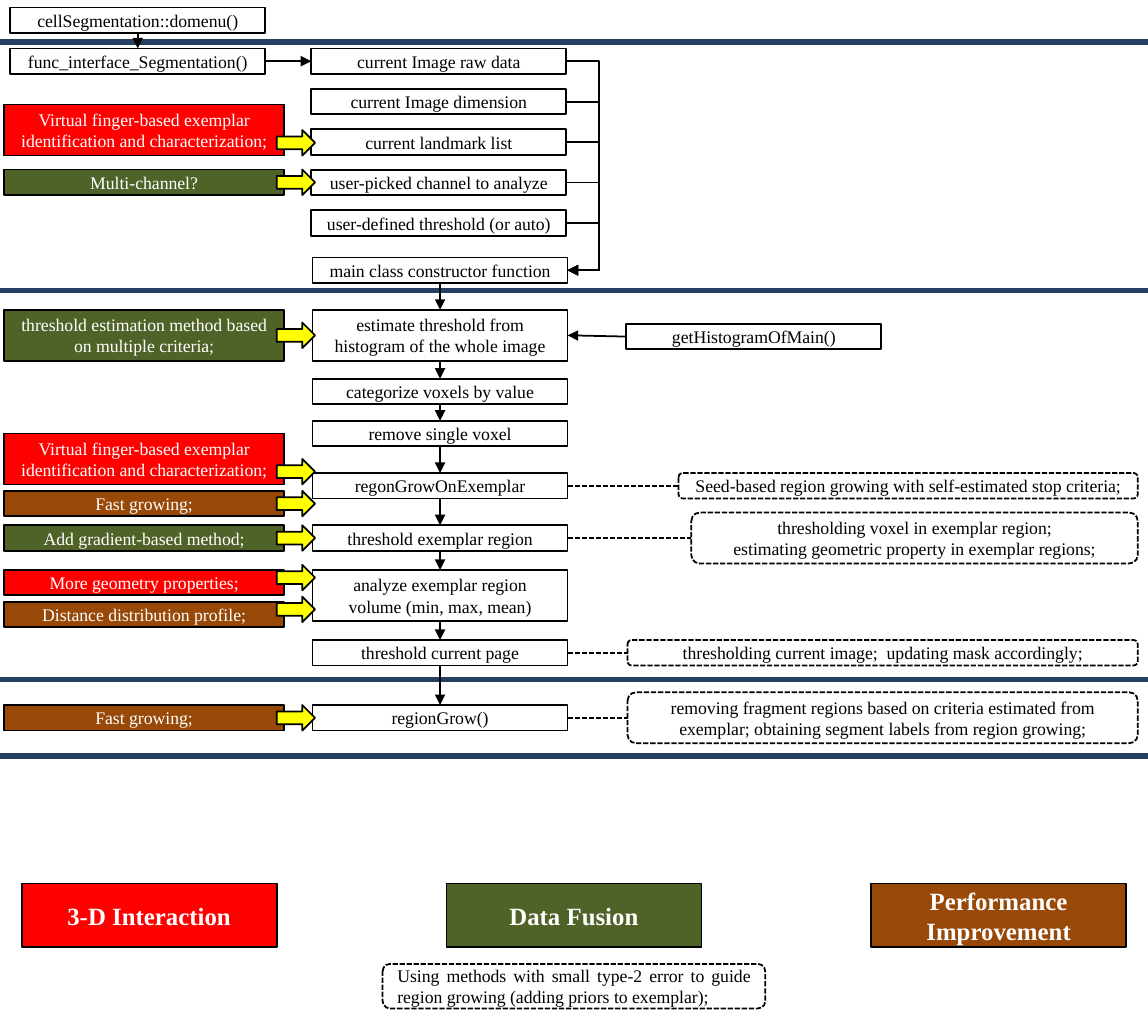
from dataclasses import dataclass
from itertools import pairwise

from lxml.etree import SubElement
from pptx import Presentation
from pptx.dml.color import RGBColor
from pptx.enum.dml import MSO_LINE
from pptx.enum.shapes import MSO_CONNECTOR, MSO_SHAPE
from pptx.enum.text import MSO_ANCHOR, PP_ALIGN
from pptx.oxml.ns import qn
from pptx.util import Inches, Pt

TOP, LEFT, BOTTOM, RIGHT = range(4)
BOX_WIDTH, ROW, DOUBLE_ROW = 2, 0.2, 0.4
STEP_LEFT, INPUT_LEFT, CALL_LEFT = 2.45, 2.44, 0.08
NOTE_RIGHT = 8.92


@dataclass(frozen=True)
class Theme:
    font: str = "Times New Roman"
    body_size: int = 10
    legend_size: int = 14
    thin: int = 1
    thick: int = 3
    ink: str = "000000"
    paper: str = "FFFFFF"
    divider: str = "254061"
    pointer: str = "FFFF00"
    interaction: str = "FF0000"
    fusion: str = "4F6228"
    performance: str = "984807"


def write_text(frame, text, *, font, size, color, bold=False, align=PP_ALIGN.CENTER):
    frame.word_wrap = True
    frame.vertical_anchor = MSO_ANCHOR.MIDDLE
    frame.margin_left = frame.margin_right = Inches(0.1)
    frame.margin_top = frame.margin_bottom = Inches(0.1)
    frame.text = text
    for paragraph in frame.paragraphs:
        paragraph.alignment = align
        paragraph.font.name = font
        paragraph.font.size = Pt(size)
        paragraph.font.bold = bold
        paragraph.font.color.rgb = RGBColor.from_string(color)


class FlowSlide:
    def __init__(self, slide, theme):
        self.slide = slide
        self.theme = theme

    def stroke(self, line, color=None, width=None, dashed=False):
        line.color.rgb = RGBColor.from_string(color or self.theme.ink)
        line.width = Pt(width or self.theme.thin)
        if dashed:
            line.dash_style = MSO_LINE.SQUARE_DOT

    def shape(self, kind, left, top, width, height, fill=None, dashed=False):
        outline = self.slide.shapes.add_shape(
            kind, Inches(left), Inches(top), Inches(width), Inches(height))
        outline.shadow.inherit = False
        if fill:
            outline.fill.solid()
            outline.fill.fore_color.rgb = RGBColor.from_string(fill)
        else:
            outline.fill.background()
        self.stroke(outline.line, dashed=dashed)
        return outline

    def box(self, text, left, top, width=BOX_WIDTH, height=ROW, fill=None,
            size=None, bold=False):
        box = self.shape(MSO_SHAPE.RECTANGLE, left, top, width, height,
                         fill or self.theme.paper)
        write_text(box.text_frame, text, font=self.theme.font,
                   size=size or self.theme.body_size, bold=bold,
                   color=self.theme.paper if fill else self.theme.ink)
        return box

    def note(self, text, left, top, width, height, align=PP_ALIGN.CENTER):
        note = self.shape(MSO_SHAPE.FLOWCHART_ALTERNATE_PROCESS,
                          left, top, width, height, dashed=True)
        write_text(note.text_frame, text, font=self.theme.font,
                   size=self.theme.body_size, color=self.theme.ink, align=align)
        return note

    def pointer(self, middle):
        self.shape(MSO_SHAPE.RIGHT_ARROW, 2.17, middle - 0.1, 0.3, 0.2,
                   self.theme.pointer)

    def connector(self, kind=MSO_CONNECTOR.STRAIGHT, ends=(0, 0, 0, 0), **style):
        connector = self.slide.shapes.add_connector(kind, *map(Inches, ends))
        self.stroke(connector.line, **style)
        SubElement(connector._element.spPr, qn("a:effectLst"))
        return connector

    def divider(self, height):
        self.connector(ends=(0, height, 9, height),
                       color=self.theme.divider, width=self.theme.thick)

    def link(self, source, source_side, target, target_side,
             kind=MSO_CONNECTOR.STRAIGHT, arrow=True, dashed=False):
        link = self.connector(kind, dashed=dashed)
        link.begin_connect(source, source_side)
        link.end_connect(target, target_side)
        if arrow:
            SubElement(link.line._get_or_add_ln(), qn("a:tailEnd"), type="triangle")
        return link

    def bracket(self, source, target, reach):
        bracket = self.link(source, RIGHT, target, RIGHT, MSO_CONNECTOR.ELBOW)
        bend = round(Inches(reach) / bracket.width * 100000)
        guides = bracket._element.spPr.find(qn("a:prstGeom")).get_or_add_avLst()
        SubElement(guides, qn("a:gd"), name="adj1", fmla=f"val {bend}")


def draw_inputs(flow, constructor):
    menu = flow.box("cellSegmentation::domenu()", CALL_LEFT, 0.06)
    interface = flow.box("func_interface_Segmentation()", CALL_LEFT, 0.38)
    flow.link(menu, BOTTOM, interface, TOP)
    names = ["current Image raw data", "current Image dimension",
             "current landmark list", "user-picked channel to analyze",
             "user-defined threshold (or auto)"]
    first, last = 0.38, 1.65
    pitch = (last - first) / (len(names) - 1)
    inputs = [flow.box(name, INPUT_LEFT, first + row * pitch)
              for row, name in enumerate(names)]
    flow.link(interface, RIGHT, inputs[0], LEFT)
    for item in inputs:
        flow.bracket(item, constructor, 0.26)


def draw_steps(flow):
    steps = [flow.box(text, STEP_LEFT, top, height=height) for text, top, height in [
        ("main class constructor function", 2.02, ROW),
        ("estimate threshold from histogram of the whole image", 2.43, DOUBLE_ROW),
        ("categorize voxels by value", 2.97, ROW),
        ("remove single voxel", 3.3, ROW),
        ("regonGrowOnExemplar", 3.71, ROW),
        ("threshold exemplar region", 4.12, ROW),
        ("analyze exemplar region volume (min, max, mean)", 4.47, DOUBLE_ROW),
        ("threshold current page", 5.02, ROW),
        ("regionGrow()", 5.53, ROW),
    ]]
    for upper, lower in pairwise(steps):
        flow.link(upper, BOTTOM, lower, TOP)
    return steps


def draw_notes(flow, estimate, grow_exemplar, exemplar, page, grow):
    histogram = flow.box("getHistogramOfMain()", 4.91, 2.54)
    flow.link(histogram, LEFT, estimate, RIGHT)
    for step, text, top, width, height in [
        (grow_exemplar, "Seed-based region growing with self-estimated stop criteria;",
         3.71, 3.6, ROW),
        (exemplar, "thresholding voxel in exemplar region;\n"
         "estimating geometric property in exemplar regions;", 4.02, 3.5, DOUBLE_ROW),
        (page, "thresholding current image;  updating mask accordingly;", 5.02, 4, ROW),
        (grow, "removing fragment regions based on criteria estimated from exemplar; "
         "obtaining segment labels from region growing;", 5.43, 4, DOUBLE_ROW),
    ]:
        note = flow.note(text, NOTE_RIGHT - width, top, width, height)
        flow.link(step, RIGHT, note, LEFT, arrow=False, dashed=True)


def draw_improvements(flow):
    theme = flow.theme
    finger = "Virtual finger-based exemplar identification and characterization;"
    for text, fill, top, height, pointer in [
        (finger, theme.interaction, 0.82, DOUBLE_ROW, 1.12),
        ("Multi-channel?", theme.fusion, 1.33, ROW, 1.43),
        ("threshold estimation method based on multiple criteria;",
         theme.fusion, 2.43, DOUBLE_ROW, 2.63),
        (finger, theme.interaction, 3.4, DOUBLE_ROW, 3.7),
        ("Fast growing;", theme.performance, 3.85, ROW, 3.95),
        ("Add gradient-based method;", theme.fusion, 4.12, ROW, 4.22),
        ("More geometry properties;", theme.interaction, 4.47, ROW, 4.53),
        ("Distance distribution profile;", theme.performance, 4.72, ROW, 4.78),
        ("Fast growing;", theme.performance, 5.53, ROW, 5.63),
    ]:
        flow.box(text, 0.03, top, 2.2, height, fill)
        flow.pointer(pointer)


def draw_legend(flow):
    theme = flow.theme
    for column, (text, fill) in enumerate([
        ("3-D Interaction", theme.interaction),
        ("Data Fusion", theme.fusion),
        ("Performance Improvement", theme.performance),
    ]):
        flow.box(text, 0.17 + column * 3.33, 6.93, height=0.5, fill=fill,
                 size=theme.legend_size, bold=True)
    flow.note("Using methods with small type-2 error to guide region growing "
              "(adding priors to exemplar);", 3, 7.56, 3, 0.35, PP_ALIGN.JUSTIFY)


def main():
    deck = Presentation()
    deck.slide_width, deck.slide_height = Inches(9), Inches(8)
    flow = FlowSlide(deck.slides.add_slide(deck.slide_layouts[6]), Theme())
    for height in (0.33, 2.28, 5.33, 5.93):
        flow.divider(height)
    constructor, estimate, _, _, grow_exemplar, exemplar, _, page, grow = draw_steps(flow)
    draw_inputs(flow, constructor)
    draw_notes(flow, estimate, grow_exemplar, exemplar, page, grow)
    draw_improvements(flow)
    draw_legend(flow)
    deck.save("out.pptx")


if __name__ == "__main__":
    main()
